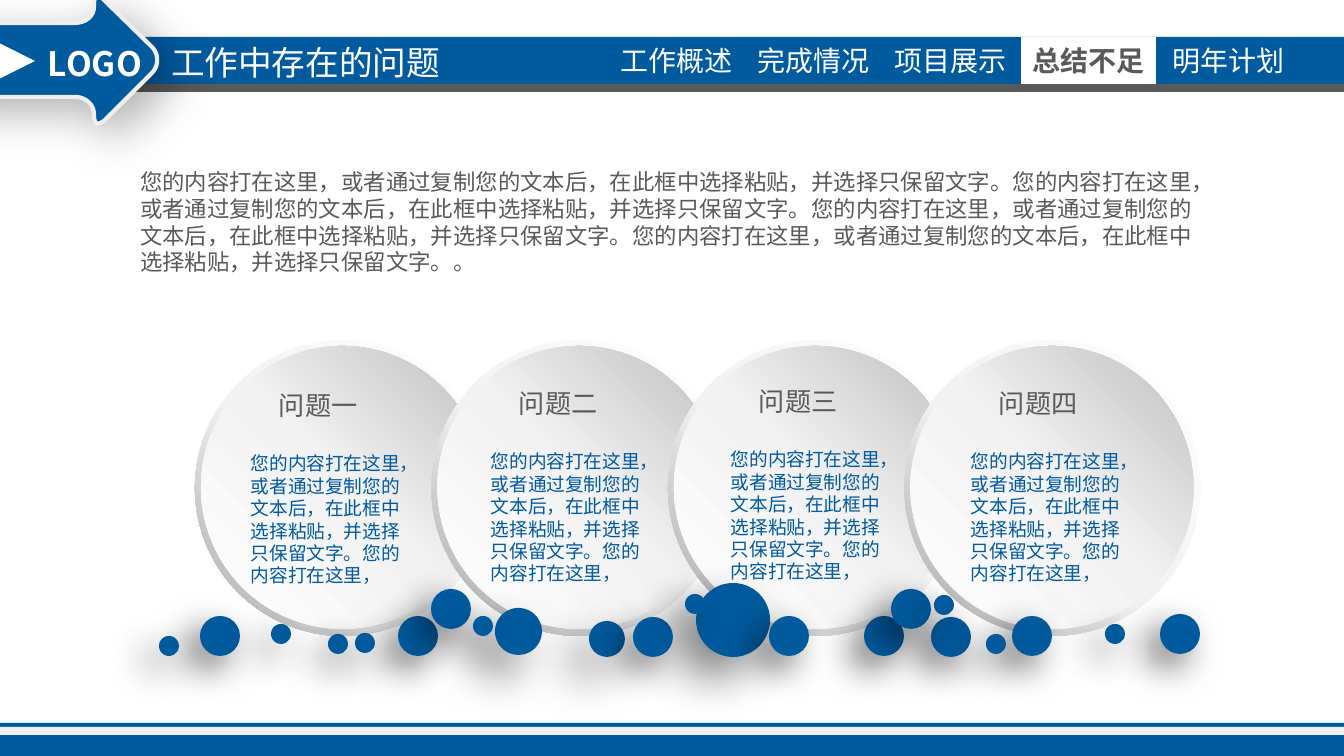
from dataclasses import dataclass

from lxml.etree import SubElement
from pptx import Presentation
from pptx.dml.color import RGBColor
from pptx.enum.shapes import MSO_SHAPE
from pptx.enum.text import MSO_ANCHOR, MSO_AUTO_SIZE, PP_ALIGN
from pptx.oxml.ns import qn
from pptx.util import Emu, Pt


@dataclass(frozen=True)
class Theme:
    font: str = "Noto Sans CJK SC"
    blue: str = "005A9E"
    grey: str = "595959"
    pale: str = "F2F2F2"
    white: str = "FFFFFF"
    outline: str = "EEEEEE"
    shadow: str = "000000"
    rim_end: str = "A6A6A6"
    disc_end: str = "BFBFBF"
    title_size: int = 18
    menu_size: int = 15
    heading_size: int = 14
    intro_size: int = 12
    body_size: int = 10


THEME = Theme()
SCALE = 914400 / 134.4
SLIDE_WIDTH, SLIDE_HEIGHT = 1344, 756

TITLE = "工作中存在的问题"
PHRASE = "您的内容打在这里，或者通过复制您的文本后，在此框中选择粘贴，并选择只保留文字。"
INTRO = PHRASE * 4 + "。"
QUESTION_BODY = PHRASE + "您的内容打在这里，"
QUESTIONS = [("问题一", 382), ("问题二", 380), ("问题三", 378), ("问题四", 380)]
MENU = [("工作概述", 609), ("完成情况", 746), ("项目展示", 883), ("总结不足", 1021), ("明年计划", 1161)]
ACTIVE = "总结不足"
BARS = [
    (723, 33, THEME.blue),
    (727, 8, THEME.pale),
    (37, 47, THEME.blue),
    (84, 8, THEME.grey),
]
ARROW_START = (98, -4)
ARROW_STEPS = [
    [(101, -4), (103, -1), (105, 1)],
    [(152, 47)],
    [(159, 54), (159, 66), (152, 73)],
    [(105, 120)],
    [(98, 126), (94, 125), (94, 114)],
    [(94, 105), (86, 97), (75, 97)],
    [(-40, 97)],
    [(-50, 97), (-58, 87), (-58, 78)],
    [(-58, 42)],
    [(-58, 32), (-50, 23), (-40, 23)],
    [(75, 23)],
    [(86, 23), (94, 16), (94, 7)],
    [(94, 0), (95, -4), (98, -4)],
]
DOTS = {
    74: [(696, 583)],
    47: [(495, 608)],
    36: [(589, 621)],
    40: [(864, 616), (398, 616), (931, 617), (1012, 616), (633, 617), (891, 589),
         (769, 616), (200, 616), (431, 589), (1160, 614)],
    20: [(355, 633), (473, 616), (986, 634), (1105, 624), (328, 634), (685, 594),
         (159, 636), (271, 624), (934, 595)],
}
ARROW_SHADOW = (30, 25, 10, 45)
STRONG_SHADOW = (50, 25, 15, 135)
SOFT_SHADOW = (60, 20, 10, 135)
RIM_STOPS = [(0, THEME.white), (55, THEME.pale), (100, THEME.rim_end)]
DISC_STOPS = [(0, THEME.white), (51, THEME.pale), (100, THEME.disc_end)]


def px(value):
    return Emu(round(value * SCALE))


def place(shape, left, top, width, height):
    shape.left, shape.top = px(left), px(top)
    shape.width, shape.height = px(width), px(height)


def paint(shape, color):
    shape.fill.solid()
    shape.fill.fore_color.rgb = RGBColor.from_string(color)


def add_shape(shapes, kind, box, color):
    shape = shapes.add_shape(kind, *map(px, box))
    shape.shadow.inherit = False
    shape.line.fill.background()
    paint(shape, color)
    return shape


def add_color(parent, color):
    return SubElement(parent, qn("a:srgbClr"), val=color)


def set_gradient(shape, stops, angle):
    shape.fill.gradient()
    shape.fill.gradient_angle = 360 - angle
    stop_list = shape.element.spPr.find(".//" + qn("a:gsLst"))
    for stop in list(stop_list):
        stop_list.remove(stop)
    for position, color in stops:
        add_color(SubElement(stop_list, qn("a:gs"), pos=str(position * 1000)), color)


def set_shadow(shape, opacity, blur, distance, angle):
    shape.shadow.inherit = False
    effects = shape.element.spPr.find(qn("a:effectLst"))
    outer = SubElement(
        effects, qn("a:outerShdw"), blurRad=str(Pt(blur)), dist=str(Pt(distance)),
        dir=str(angle * 60000), algn="ctr", rotWithShape="0",
    )
    SubElement(add_color(outer, THEME.shadow), qn("a:alpha"), val=str(opacity * 1000))


def format_para(para, size, color, bold=False, align=PP_ALIGN.LEFT):
    para.alignment = align
    for span in para.runs:
        span.font.name = THEME.font
        span.font.size = Pt(size)
        span.font.bold = bold
        span.font.color.rgb = RGBColor.from_string(color)
        SubElement(span.font._element, qn("a:ea"), typeface=THEME.font)


def set_frame(frame, anchor=MSO_ANCHOR.TOP, side=13, edge=7, wrap=True):
    frame.auto_size = MSO_AUTO_SIZE.NONE
    frame.word_wrap = wrap
    frame.vertical_anchor = anchor
    frame.margin_left = frame.margin_right = px(side)
    frame.margin_top = frame.margin_bottom = px(edge)


def add_text(shapes, box, text, size, color, bold=False):
    frame = shapes.add_textbox(*map(px, box)).text_frame
    set_frame(frame)
    frame.text = text
    for para in frame.paragraphs:
        format_para(para, size, color, bold)
    return frame


def add_menu(shapes):
    for label, left in MENU:
        active = label == ACTIVE
        item = add_shape(shapes, MSO_SHAPE.RECTANGLE, (left, 37, 135, 47), THEME.white)
        if not active:
            item.fill.background()
        set_frame(item.text_frame, MSO_ANCHOR.MIDDLE, 10, 5)
        item.text_frame.text = label
        color = THEME.grey if active else THEME.white
        format_para(item.text_frame.paragraphs[0], THEME.menu_size, color, active, PP_ALIGN.CENTER)


def add_arrow(shapes):
    points, current = [], ARROW_START
    for step in ARROW_STEPS:
        if len(step) == 1:
            points += step
        else:
            corners = [current, *step]
            for part in range(1, 13):
                t = part / 12
                weights = ((1 - t) ** 3, 3 * t * (1 - t) ** 2, 3 * t * t * (1 - t), t ** 3)
                points.append(tuple(sum(w * c[axis] for w, c in zip(weights, corners)) for axis in (0, 1)))
        current = step[-1]
    builder = shapes.build_freeform(*(value * 100 for value in ARROW_START), scale=SCALE / 100)
    builder.add_line_segments([(x * 100, y * 100) for x, y in points], close=True)
    arrow = builder.convert_to_shape()
    paint(arrow, THEME.blue)
    arrow.line.color.rgb = RGBColor.from_string(THEME.outline)
    arrow.line.width = Pt(2.25)
    set_shadow(arrow, *ARROW_SHADOW)


def add_question(shapes, index, heading, top):
    box = (238 + 240 * index, top, 180, 212)
    frame = add_text(shapes, box, heading, THEME.heading_size, THEME.grey)
    frame.paragraphs[0]._p.get_or_add_pPr().set("marL", str(px(28)))
    body = frame.add_paragraph()
    body.text = QUESTION_BODY
    body.space_before = Pt(17)
    format_para(body, THEME.body_size, THEME.blue)


def main():
    deck = Presentation()
    deck.slide_width, deck.slide_height = px(SLIDE_WIDTH), px(SLIDE_HEIGHT)
    page = deck.slides.add_slide(deck.slide_layouts[5])
    shapes = page.shapes

    for top, height, color in BARS:
        add_shape(shapes, MSO_SHAPE.RECTANGLE, (0, top, SLIDE_WIDTH, height), color)
    add_menu(shapes)

    title = shapes.title
    shapes.element.append(title.element)
    place(title, 161, 37, 292, 51)
    set_frame(title.text_frame, side=10, edge=5, wrap=False)
    title.text_frame.text = TITLE
    format_para(title.text_frame.paragraphs[0], THEME.title_size, THEME.white)

    add_arrow(shapes)
    logo = add_text(shapes, (38, 38, 134, 51), "LOGO", THEME.title_size, THEME.white, True)
    set_frame(logo, side=10, edge=5)
    pointer = add_shape(shapes, MSO_SHAPE.FLOWCHART_EXTRACT, (-7, 40, 42, 42), THEME.white)
    pointer.rotation = 90
    add_text(shapes, (127, 161, 1087, 122), INTRO, THEME.intro_size, THEME.grey)

    for index in range(len(QUESTIONS)):
        left = 195 + 236.5 * index
        rim = add_shape(shapes, MSO_SHAPE.DONUT, (left, 340, 296, 296), THEME.white)
        rim.adjustments[0] = 0.05
        set_gradient(rim, RIM_STOPS, 135)
        disc = add_shape(shapes, MSO_SHAPE.OVAL, (left + 6, 346, 283, 283), THEME.white)
        set_gradient(disc, DISC_STOPS, 315)

    for size, corners in DOTS.items():
        for left, top in corners:
            dot = add_shape(shapes, MSO_SHAPE.OVAL, (left, top, size, size), THEME.blue)
            set_shadow(dot, *(SOFT_SHADOW if size in (20, 40) else STRONG_SHADOW))

    for index, (heading, top) in enumerate(QUESTIONS):
        add_question(shapes, index, heading, top)

    deck.save("out.pptx")


if __name__ == "__main__":
    main()
